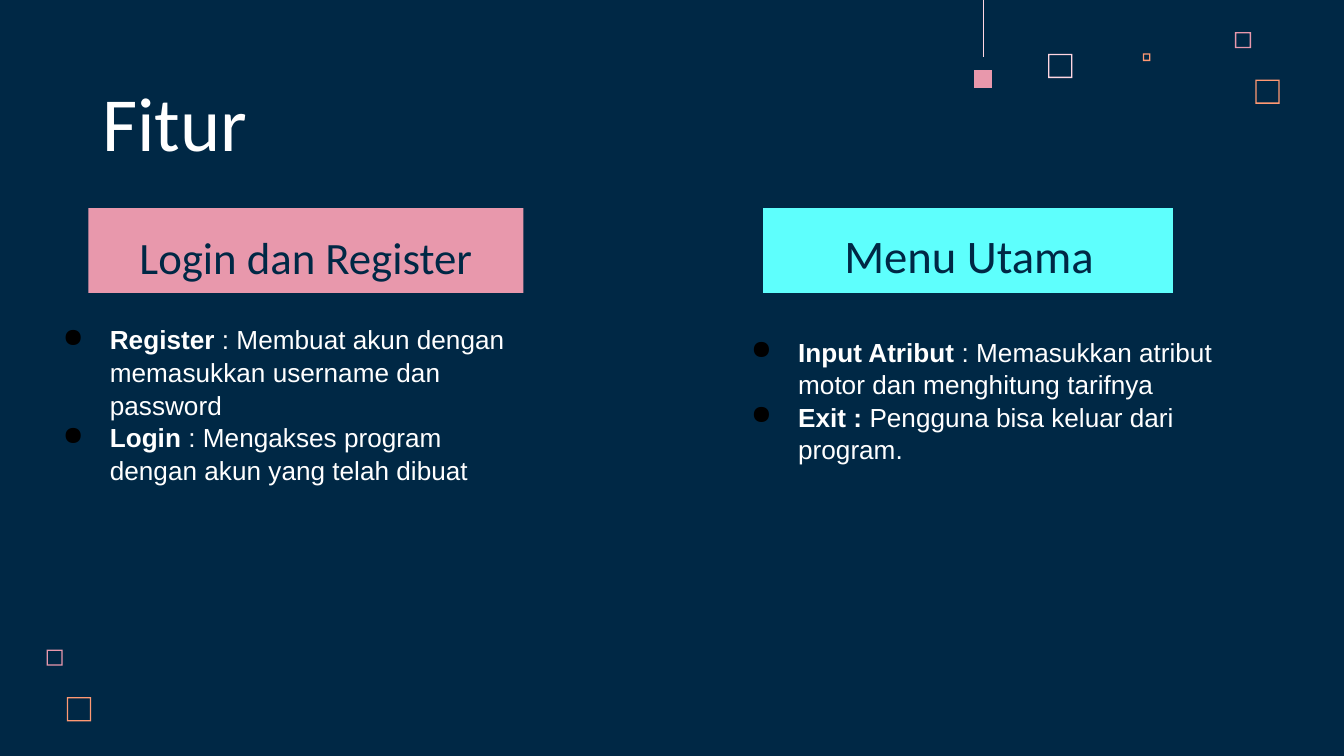
from lxml.etree import SubElement
from pptx import Presentation
from pptx.dml.color import RGBColor
from pptx.enum.shapes import MSO_CONNECTOR, MSO_SHAPE
from pptx.enum.text import MSO_ANCHOR, MSO_AUTO_SIZE, PP_ALIGN
from pptx.oxml.ns import qn
from pptx.util import Pt

NAVY, WHITE, BLUSH = "002845", "FFFFFF", "FFD6E1"
PINK, ORANGE, CYAN = "E898AC", "FF9973", "5EFFFD"


def color(hex_value):
    return RGBColor.from_string(hex_value)


def write(paragraph, text, font="Calibri", size=14, ink=WHITE, bold=False):
    run = paragraph.add_run()
    run.text = text
    run.font.name = font
    run.font.size = Pt(size)
    run.font.bold = bold
    run.font.color.rgb = color(ink)


class FeatureSlide:
    """Holds the slide and the style of its elements."""

    inset = 7.2
    bullet_indent = 36
    bullet_hang = 25.2

    def __init__(self, deck):
        self.slide = deck.slides.add_slide(deck.slide_layouts[5])
        fill = self.slide.background.fill
        fill.solid()
        fill.fore_color.rgb = color(NAVY)

    def frame_text(self, holder, anchor):
        frame = holder.text_frame
        frame.word_wrap = True
        frame.auto_size = MSO_AUTO_SIZE.NONE
        frame.vertical_anchor = anchor
        frame.margin_left = frame.margin_right = Pt(self.inset)
        frame.margin_top = frame.margin_bottom = Pt(self.inset)
        return frame

    def text_box(self, left, top, width, height):
        box = self.slide.shapes.add_textbox(Pt(left), Pt(top), Pt(width), Pt(height))
        return self.frame_text(box, MSO_ANCHOR.TOP)

    def title(self, text, left, top, width, height):
        heading = self.slide.shapes.title
        heading.left, heading.top = Pt(left), Pt(top)
        heading.width, heading.height = Pt(width), Pt(height)
        paragraph = self.frame_text(heading, MSO_ANCHOR.BOTTOM).paragraphs[0]
        paragraph.alignment = PP_ALIGN.LEFT
        write(paragraph, text, size=41)

    def block(self, fill, left, top, width, height, kind=MSO_SHAPE.RECTANGLE):
        shape = self.slide.shapes.add_shape(kind, Pt(left), Pt(top), Pt(width), Pt(height))
        shape.shadow.inherit = False
        shape.fill.solid()
        shape.fill.fore_color.rgb = color(fill)
        shape.line.fill.background()
        return shape

    def hollow_square(self, fill, left, top, side):
        square = self.block(fill, left, top, side, side, MSO_SHAPE.FRAME)
        square.adjustments[0] = 0.7 / side

    def thread(self, x, bottom):
        line = self.slide.shapes.add_connector(
            MSO_CONNECTOR.STRAIGHT, Pt(x), Pt(0), Pt(x), Pt(bottom))
        line.line.color.rgb = color(BLUSH)
        line.line.width = Pt(0.5)
        SubElement(line._element.spPr, qn("a:effectLst"))

    def heading(self, text, size, left, top, width, height):
        paragraph = self.text_box(left, top, width, height).paragraphs[0]
        paragraph.alignment = PP_ALIGN.CENTER
        write(paragraph, text, size=size, ink=NAVY)

    def bullets(self, features, left, top, width, height):
        frame = self.text_box(left, top, width, height)
        for index, (name, detail) in enumerate(features):
            paragraph = frame.add_paragraph() if index else frame.paragraphs[0]
            paragraph.line_spacing = 1.04
            properties = paragraph._p.get_or_add_pPr()
            properties.set("marL", str(Pt(self.bullet_indent)))
            properties.set("indent", str(-Pt(self.bullet_hang)))
            bullet_color = SubElement(properties, qn("a:buClr"))
            SubElement(bullet_color, qn("a:srgbClr"), val="000000")
            SubElement(properties, qn("a:buChar"), char="●")
            write(paragraph, name, font="Arial", bold=True)
            write(paragraph, detail, font="Arial")


def main():
    deck = Presentation()
    deck.slide_width, deck.slide_height = Pt(720), Pt(405)
    page = FeatureSlide(deck)

    for square in (
        (BLUSH, 561.5, 28.8, 13),
        (PINK, 661.6, 17.2, 8.6),
        (ORANGE, 612.2, 28.6, 4.1),
        (ORANGE, 672.5, 42.6, 13),
        (PINK, 25, 348, 8.6),
        (ORANGE, 35.8, 373.5, 13),
    ):
        page.hollow_square(*square)
    page.block(PINK, 521.8, 37.5, 9.6, 9.6)
    page.thread(527, 30.8)

    page.title("Fitur", 47.5, 51.1, 372.2, 45.4)

    page.block(PINK, 47.4, 111.5, 233, 45.5)
    page.heading("Login dan Register", 24, 67, 115.9, 193.7, 31)
    page.bullets([
        ("Register", " : Membuat akun dengan memasukkan username dan password"),
        ("Login ", ": Mengakses program dengan akun yang telah dibuat"),
    ], 15.8, 165.6, 264.2, 216)

    page.block(CYAN, 408.8, 111.5, 219.6, 45.5)
    page.heading("Menu Utama", 25, 418.3, 114.5, 201.6, 31)
    page.bullets([
        ("Input Atribut ", ": Memasukkan atribut motor dan menghitung tarifnya"),
        ("Exit : ", "Pengguna bisa keluar dari program."),
    ], 384.5, 172.1, 301.7, 195.8)

    deck.save("out.pptx")


if __name__ == "__main__":
    main()
